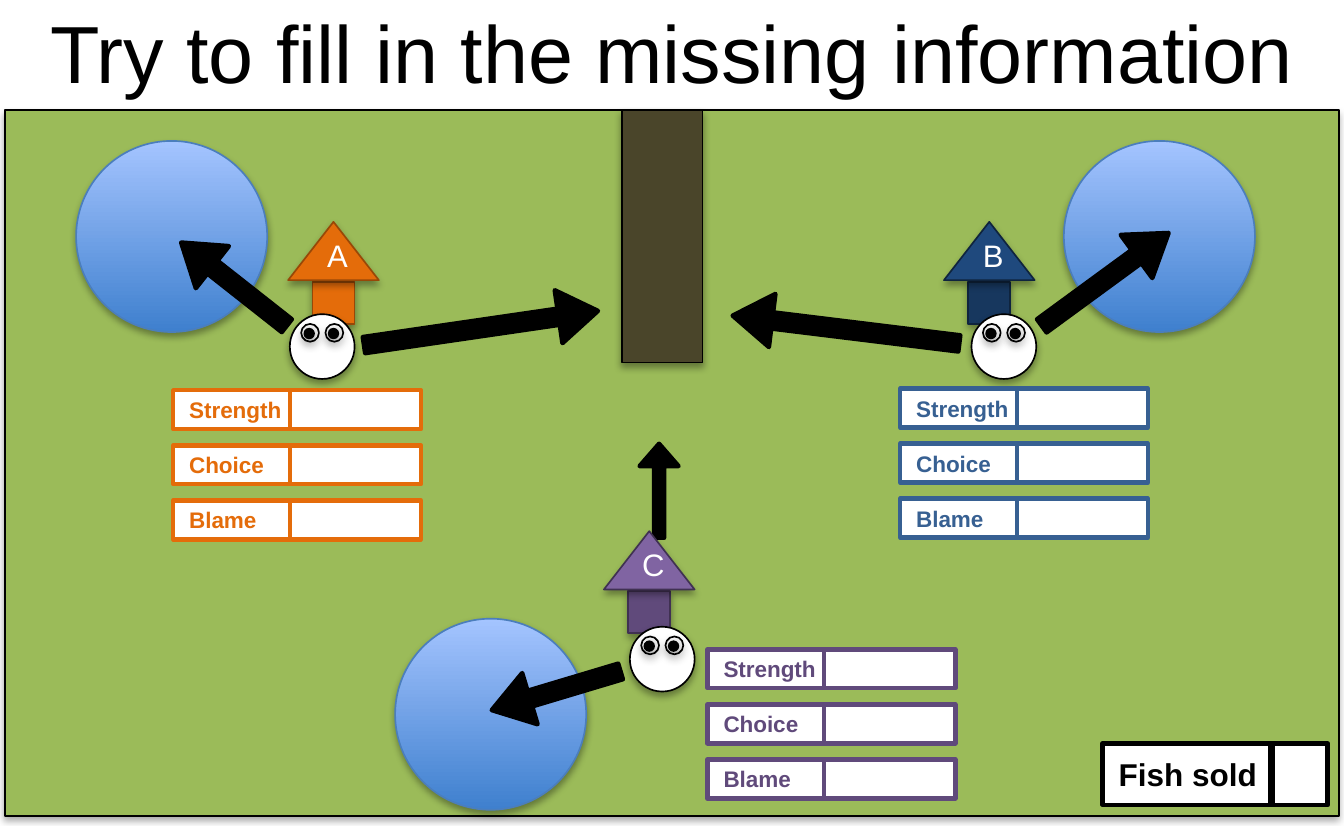
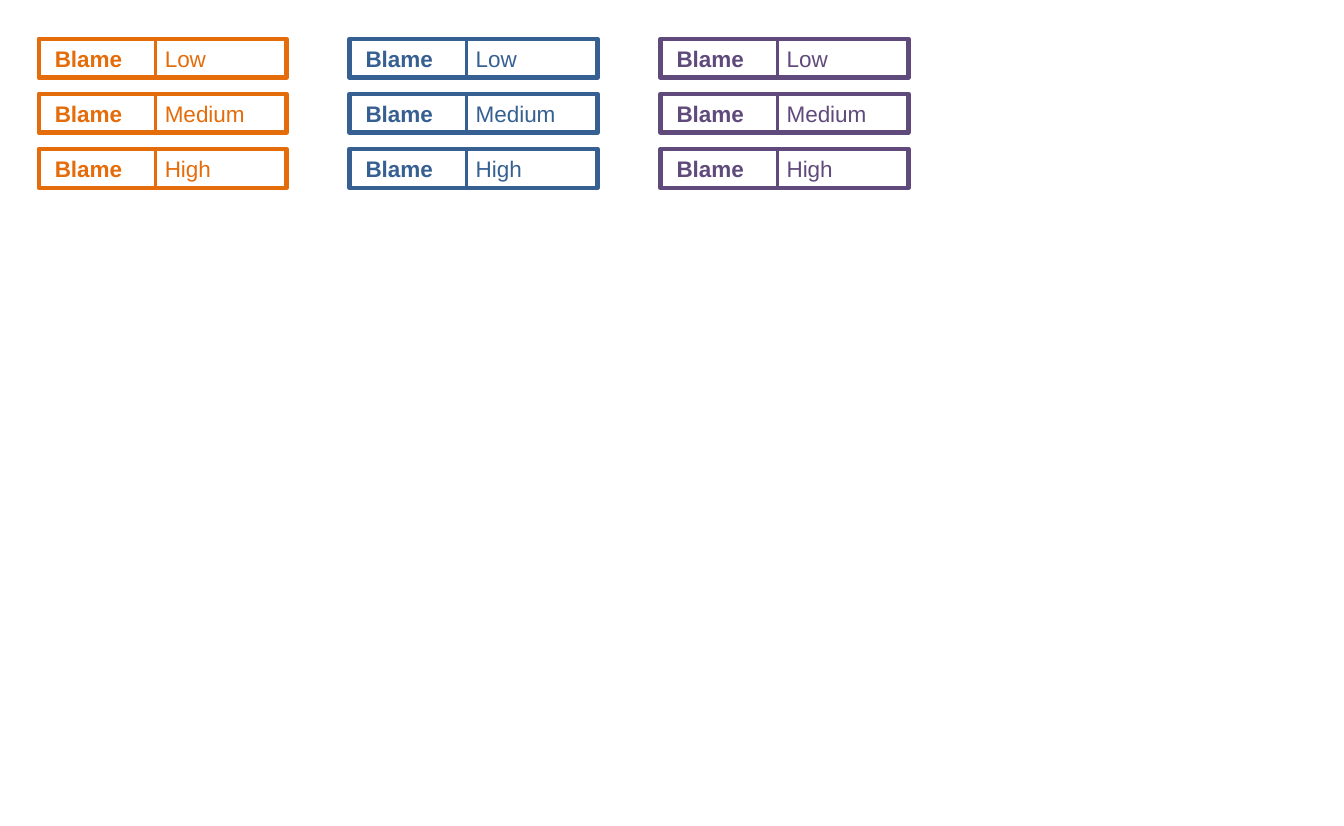
"""Build the two fishing game slides: the map to fill in and the blame cards."""
from lxml.etree import SubElement
from pptx import Presentation
from pptx.dml.color import RGBColor
from pptx.enum.shapes import MSO_CONNECTOR as Link, MSO_SHAPE as Kind
from pptx.enum.text import MSO_ANCHOR as Anchor, PP_ALIGN as Align
from pptx.oxml.ns import qn
from pptx.util import Inches, Pt


class Theme:
    font = "Arial"
    black, white = "000000", "FFFFFF"
    grass, wood = "9BBB59", "4A452A"
    deep, light, shore = "3F80CE", "A4C4FF", "4B7EBC"
    orange, blue, purple = "E46C0A", "376092", "604A7B"
    title, roof, total, label = 36, 13.8, 14, 10
    step = 0.34


def draw(shapes, kind, box, fill, edge, width=0.75, shade=True):
    """Add a preset shape with its fill, outline and soft shadow."""
    shape = shapes.add_shape(kind, *map(Inches, box))
    if fill:
        shape.fill.solid()
        shape.fill.fore_color.rgb = RGBColor.from_string(fill)
    else:
        shape.fill.background()
    shape.line.color.rgb = RGBColor.from_string(edge)
    shape.line.width = Pt(width)
    shape.shadow.inherit = False
    if shade:
        glow = SubElement(shape.element.spPr.find(qn("a:effectLst")), qn("a:outerShdw"),
                          blurRad="40000", dist="23000", dir="5400000", rotWithShape="0")
        tint = SubElement(glow, qn("a:srgbClr"), val=Theme.black)
        SubElement(tint, qn("a:alpha"), val="35000")
    return shape


def card(shapes, x, y, label, color, value="", size=(1.53, 0.24), split=0.72,
         points=Theme.label, rule=1.5):
    """Add a framed card with a bold label, a divider and an optional value."""
    wide, high = size
    frame = draw(shapes, Kind.RECTANGLE, (x, y, wide, high), Theme.white, color, 2, False)
    text = frame.text_frame
    text.vertical_anchor = Anchor.MIDDLE
    para = text.paragraphs[0]
    para.alignment = Align.LEFT
    para.font.name, para.font.size = Theme.font, Pt(points)
    para.font.color.rgb = RGBColor.from_string(color)
    run = para.add_run()
    run.text, run.font.bold = label, True
    if value:
        run = para.add_run()
        run.text, run.font.bold = "\t" + value, False
        props = para._p.get_or_add_pPr()
        tabs = props.makeelement(qn("a:tabLst"))
        SubElement(tabs, qn("a:tab"), pos=str(Inches(0.68)), algn="l")
        props.insert(0, tabs)
    line = shapes.add_connector(Link.STRAIGHT, *map(Inches, (x + split, y, x + split, y + high)))
    line.line.color.rgb = RGBColor.from_string(color)
    line.line.width = Pt(rule)
    SubElement(line.element.spPr, qn("a:effectLst"))


deck = Presentation()
deck.slide_width, deck.slide_height = Inches(8.3), Inches(5.1)
blank = deck.slide_layouts[6]

shapes = deck.slides.add_slide(blank).shapes
draw(shapes, Kind.RECTANGLE, (0.03, 0.68, 8.24, 4.36), Theme.grass, Theme.black)
draw(shapes, Kind.RECTANGLE, (3.84, 0.68, 0.5, 1.56), Theme.wood, Theme.black)

title = shapes.add_textbox(*map(Inches, (-0.35, -0.12, 9, 0.87))).text_frame
title.word_wrap = True
title.vertical_anchor = Anchor.MIDDLE
para = title.paragraphs[0]
para.text, para.alignment = "Try to fill in the missing information", Align.CENTER
para.font.name, para.font.size = Theme.font, Pt(Theme.title)
para.font.color.rgb = RGBColor.from_string(Theme.black)

broad, slim = (0.305, 0.744), (0.257, 0.575)
teams = [
    ("A", Theme.orange, (Theme.orange, Theme.orange, "984807"),
     (1.78, 1.37), (1.79, 1.94), (0.47, 0.87), (1.07, 2.41),
     [((1.03, 1.59, 0.83, 0.33), 38.2, broad), ((2.24, 1.86, 1.46, 0.33), 171.7, broad)]),
    ("B", Theme.blue, ("1F497D", "17375E", "0F243E"),
     (5.83, 1.37), (6, 1.94), (6.57, 0.87), (5.56, 2.4),
     [((4.52, 1.87, 1.41, 0.33), 7, broad), ((6.34, 1.56, 0.97, 0.33), 143.8, broad)]),
    ("C", Theme.purple, ("8064A2", Theme.purple, "403152"),
     (3.73, 3.28), (3.89, 3.87), (2.44, 3.82), (4.37, 4.01),
     [((3.02, 4.1, 0.83, 0.33), 343.3, broad), ((3.78, 2.91, 0.58, 0.24), 90, slim)]),
]
for name, color, (top, wall, edge), hut, head, pond, cards, arrows in teams:
    lake = draw(shapes, Kind.OVAL, (*pond, 1.18, 1.18), Theme.deep, Theme.shore)
    lake.fill.gradient()
    lake.fill.gradient_angle = 90
    for stop, tone in zip(lake.fill.gradient_stops, (Theme.deep, Theme.light)):
        stop.color.rgb = RGBColor.from_string(tone)

    for box, turn, bends in arrows:
        arrow = draw(shapes, Kind.LEFT_ARROW, box, Theme.black, Theme.black, 2, False)
        arrow.rotation = turn
        for i, bend in enumerate(bends):
            arrow.adjustments[i] = bend

    x, y = hut
    draw(shapes, Kind.RECTANGLE, (x + 0.15, y + 0.37, 0.26, 0.26), wall, edge)
    roof = draw(shapes, Kind.ISOSCELES_TRIANGLE, (x, y, 0.56, 0.36), top, edge)
    text = roof.text_frame
    text.word_wrap = False
    text.vertical_anchor = Anchor.BOTTOM
    text.margin_left, text.margin_right = Inches(0.05), Inches(0)
    text.margin_top, text.margin_bottom = Inches(0), Inches(0.04)
    para = text.paragraphs[0]
    para.text, para.alignment = name, Align.CENTER
    para.font.name, para.font.size = Theme.font, Pt(Theme.roof)
    para.font.color.rgb = RGBColor.from_string(Theme.white)

    x, y = head
    face = shapes.add_group_shape().shapes
    draw(face, Kind.OVAL, (x, y, 0.4, 0.4), Theme.white, Theme.black)
    for eye in (x + 0.07, x + 0.22):
        draw(face, Kind.OVAL, (eye, y + 0.06, 0.11, 0.11), None, Theme.black)
        draw(face, Kind.OVAL, (eye + 0.02, y + 0.09, 0.06, 0.06), Theme.black, Theme.black)

    x, y = cards
    for i, label in enumerate(("Strength", "Choice", "Blame")):
        card(shapes, x, y + i * Theme.step, label, color)

card(shapes, 6.81, 4.59, "Fish sold", Theme.black, size=(1.39, 0.38), split=1.04,
     points=Theme.total, rule=3)

shapes = deck.slides.add_slide(blank).shapes
for col, color in enumerate((Theme.orange, Theme.blue, Theme.purple)):
    for row, level in enumerate(("Low", "Medium", "High")):
        card(shapes, 0.24 + col * 1.92, 0.24 + row * Theme.step, "Blame", color, level)

deck.save("out.pptx")
